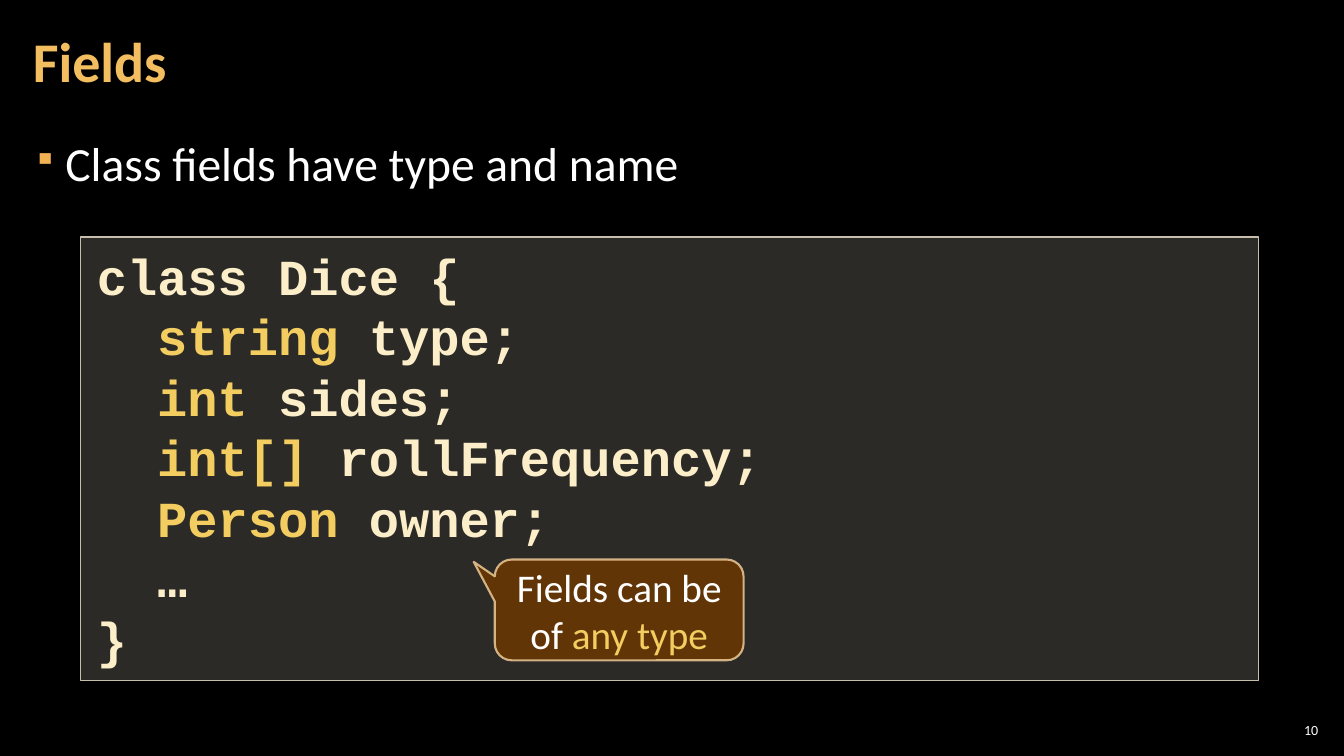
from dataclasses import dataclass

from lxml import etree
from pptx import Presentation
from pptx.dml.color import RGBColor
from pptx.enum.shapes import MSO_SHAPE
from pptx.enum.text import MSO_ANCHOR, PP_ALIGN
from pptx.oxml.ns import qn
from pptx.util import Cm, Pt

RECTANGLE = MSO_SHAPE.RECTANGLE
CALLOUT = MSO_SHAPE.ROUNDED_RECTANGULAR_CALLOUT
TOP, MIDDLE = MSO_ANCHOR.TOP, MSO_ANCHOR.MIDDLE
LEFT, CENTER, RIGHT = PP_ALIGN.LEFT, PP_ALIGN.CENTER, PP_ALIGN.RIGHT


@dataclass(frozen=True)
class Theme:
    background: str = "000000"
    text: str = "FFFFFF"
    title: str = "F3BE60"
    bullet: str = "F2B254"
    code: str = "FBEEC9"
    keyword: str = "F3CD60"
    panel: str = "D9D5C7"
    panel_line: str = "C7BFAC"
    callout: str = "663606"
    callout_line: str = "F8D49E"
    body_font: str = "Calibri"
    code_font: str = "Courier New"
    title_size: int = 40
    body_size: int = 34
    code_size: int = 36
    callout_size: int = 28
    number_size: int = 10


THEME = Theme()

# Each code line: indent level, then (text, colour) spans
CODE_LINES = [
    (0, [("class Dice {", THEME.code)]),
    (1, [("string", THEME.keyword), (" type;", THEME.code)]),
    (1, [("int", THEME.keyword), (" sides;", THEME.code)]),
    (1, [("int[] ", THEME.keyword), ("rollFrequency;", THEME.code)]),
    (1, [("Person", THEME.keyword), (" owner;", THEME.code)]),
    (1, [("…", THEME.code)]),
    (0, [("}", THEME.code)]),
]


def set_frame(shape, anchor=TOP, margins=(0.25, 0.13)):
    frame = shape.text_frame
    frame.word_wrap = True
    frame.vertical_anchor = anchor
    frame.margin_left = frame.margin_right = Cm(margins[0])
    frame.margin_top = frame.margin_bottom = Cm(margins[1])
    return frame


def write(para, text, size, color=THEME.text, font=THEME.body_font,
          bold=False, align=LEFT, spacing=None):
    """Append one formatted span to a paragraph."""
    para.alignment = align
    if spacing:
        para.line_spacing = spacing
    span = para.add_run()
    span.text = text
    span.font.name = font
    span.font.size = Pt(size)
    span.font.bold = bold
    span.font.color.rgb = RGBColor.from_string(color)


def set_opacity(parent, percent):
    """Add an alpha value to the solid fill directly under an element."""
    color = parent.find(qn("a:solidFill")).find(qn("a:srgbClr"))
    etree.SubElement(color, qn("a:alpha"), val=str(percent * 1000))


def add_panel(page, kind, box, fill, opacity, line, width, line_opacity=100):
    shape = page.shapes.add_shape(kind, *map(Cm, box))
    shape.shadow.inherit = False
    shape.fill.solid()
    shape.fill.fore_color.rgb = RGBColor.from_string(fill)
    shape.line.width = Pt(width)
    shape.line.color.rgb = RGBColor.from_string(line)
    properties = shape.element.spPr
    set_opacity(properties, opacity)
    set_opacity(properties.find(qn("a:ln")), line_opacity)
    return shape


def add_title(page, box, text):
    frame = set_frame(page.shapes.add_textbox(*map(Cm, box)), MIDDLE, (0.3, 0.1))
    write(frame.paragraphs[0], text, THEME.title_size, THEME.title,
          bold=True, spacing=0.9)


def add_bullet(page, box, text):
    frame = set_frame(page.shapes.add_textbox(*map(Cm, box)), margins=(0.3, 0.1))
    para = frame.paragraphs[0]
    write(para, text, THEME.body_size, spacing=1.05)
    para.space_before = para.space_after = Pt(6)
    # Hanging square bullet
    properties = para._p.get_or_add_pPr()
    properties.set("marL", str(Cm(0.82)))
    properties.set("indent", str(-Cm(0.82)))
    color = etree.SubElement(properties, qn("a:buClr"))
    etree.SubElement(color, qn("a:srgbClr"), val=THEME.bullet)
    etree.SubElement(properties, qn("a:buSzPct"), val="70000")
    etree.SubElement(properties, qn("a:buChar"), char="▪")


def add_code(page, box, lines):
    panel = add_panel(page, RECTANGLE, box, THEME.panel, 20, THEME.panel_line, 1)
    frame = set_frame(panel, margins=(0.41, 0.2))
    for index, (level, spans) in enumerate(lines):
        para = frame.add_paragraph() if index else frame.paragraphs[0]
        para._p.get_or_add_pPr().set("marL", str(Cm(1.52 * level)))
        for text, color in spans:
            write(para, text, THEME.code_size, color, THEME.code_font, bold=True)


def add_callout(page, box, spans):
    callout = add_panel(page, CALLOUT, box, THEME.callout, 95,
                        THEME.callout_line, 1.5, 80)
    # Pointer tip across and down, then corner radius
    for index, value in enumerate((-0.585, -0.477, 0.167)):
        callout.adjustments[index] = value
    para = set_frame(callout, MIDDLE).paragraphs[0]
    for text, color in spans:
        write(para, text, THEME.callout_size, color, align=CENTER)


def add_page_number(page, box, text):
    frame = set_frame(page.shapes.add_textbox(*map(Cm, box)), MIDDLE, (0.1, 0.1))
    write(frame.paragraphs[0], text, THEME.number_size, align=RIGHT)


def add_fields_slide(deck):
    page = deck.slides.add_slide(deck.slide_layouts[6])
    page.background.fill.solid()
    page.background.fill.fore_color.rgb = RGBColor.from_string(THEME.background)
    add_page_number(page, (32.13, 18.14, 1.19, 0.53), "10")
    add_bullet(page, (0.53, 3.2, 32.79, 15.47), "Class fields have type and name")
    add_title(page, (0.53, 0.1, 26.59, 3.07), "Fields")
    add_code(page, (2.03, 5.97, 29.69, 11.18), CODE_LINES)
    add_callout(page, (12.47, 14.1, 6.27, 2.54),
                [("Fields can be of ", THEME.text), ("any type", THEME.keyword)])


def main():
    deck = Presentation()
    deck.slide_width, deck.slide_height = Cm(33.87), Cm(19.05)
    add_fields_slide(deck)
    deck.save("out.pptx")


if __name__ == "__main__":
    main()
